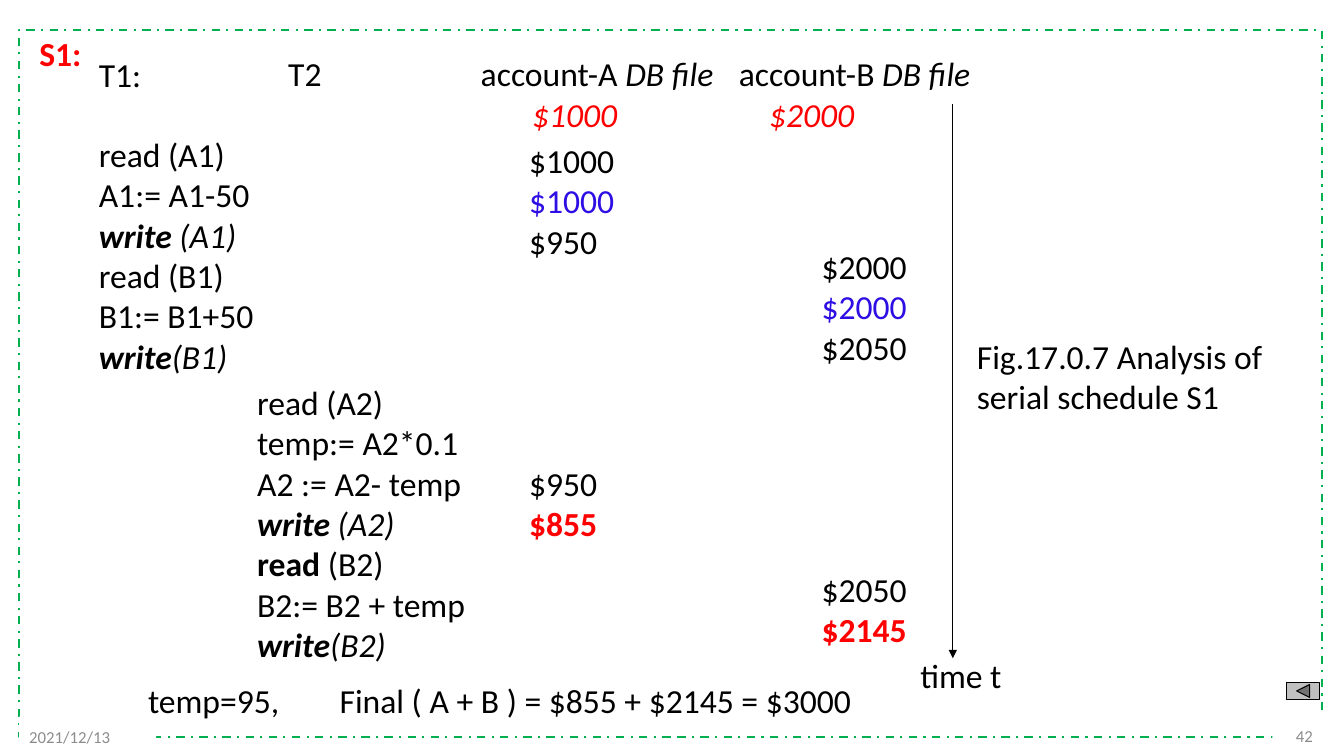
"""Build the slide that analyses serial schedule S1."""
from dataclasses import dataclass

import lxml.etree
import pptx
import pptx.dml.color
import pptx.enum.dml
import pptx.enum.shapes
import pptx.enum.text
import pptx.oxml.ns
import pptx.util

Inches = pptx.util.Inches
Pt = pptx.util.Pt


@dataclass(frozen=True)
class Theme:
    font: str = "Calibri"
    body: float = 24
    footer: float = 12
    line_pitch: float = 28.8
    black: str = "000000"
    red: str = "FF0000"
    blue: str = "2D0EE4"
    grey: str = "8C8C8C"
    white: str = "FFFFFF"
    green: str = "00B050"
    button: str = "C0C0C0"


THEME = Theme()
STYLES = {
    "plain": (THEME.black, False, False),
    "bold": (THEME.black, True, False),
    "italic": (THEME.black, False, True),
    "command": (THEME.black, True, True),
    "initial": (THEME.red, False, True),
    "result": (THEME.red, True, False),
    "copied": (THEME.blue, False, False),
    "footer": (THEME.grey, False, False),
}

TITLE = [[("S1:", "result")]]
FIRST_TRANSACTION = [
    [("T1:", "plain")],
    [("read (A1)", "plain")],
    [("A1:= A1-50", "plain")],
    [("write", "command"), (" (A1)", "italic")],
    [("read (B1)", "plain")],
    [("B1:= B1+50", "plain")],
    [("write", "command"), ("(B1)", "italic")],
]
SECOND_TRANSACTION = [
    [("read (A2)", "plain")],
    [("temp:= A2*0.1", "plain")],
    [("A2 := A2- temp", "plain")],
    [("write ", "command"), ("(A2)", "italic")],
    [("read", "bold"), (" (B2)", "plain")],
    [("B2:= B2 + temp", "plain")],
    [("write", "command"), ("(B2)", "italic")],
]
ACCOUNT_A = [
    [("$1000", "plain")], [("$1000", "copied")], [("$950", "plain")],
    [("$950", "plain")], [("$855", "result")],
]
ACCOUNT_B = [
    [("$2000", "plain")], [("$2000", "copied")], [("$2050", "plain")],
    [("$2050", "plain")], [("$2145", "result")],
]
TEXT_BOXES = [
    ((2.76, 0.48, 0.8, 0.5), [[("T2", "plain")]], {}),
    ((4.67, 0.48, 2.6, 0.5), [[("account-A ", "plain"), ("DB file", "italic")]], {}),
    ((7.23, 0.48, 2.6, 0.5), [[("account-B ", "plain"), ("DB file", "italic")]], {}),
    ((5.18, 0.88, 1.2, 0.5), [[("$1000", "initial")]], {}),
    ((7.53, 0.88, 1.2, 0.5), [[("$2000", "initial")]], {}),
    ((5.15, 1.34, 1.13, 4.14), ACCOUNT_A, {3: 5}),
    ((8.05, 2.39, 1.36, 4.14), ACCOUNT_B, {3: 5}),
    ((1.37, 6.7, 1.6, 0.5), [[("temp=95,", "plain")]], {}),
    ((3.27, 6.7, 5.6, 0.5), [[("Final ( A + B ) = $855 + $2145 = $3000", "plain")]], {}),
    ((9.59, 3.28, 3.53, 0.91), [[("Fig.17.0.7 Analysis of serial schedule S1", "plain")]], {}),
    ((9.03, 6.45, 1.1, 0.5), [[("time t", "plain")]], {}),
]
FOOTERS = [
    ((12.62, 7.1, 0.5, 0.4), "42", pptx.enum.text.PP_ALIGN.RIGHT),
    ((0.19, 7.11, 1.36, 0.4), "2021/12/13", pptx.enum.text.PP_ALIGN.LEFT),
]


def rgb(value):
    """Turn a hexadecimal string into a colour."""
    return pptx.dml.color.RGBColor.from_string(value)


def write(box, lines, gaps, size=THEME.body, align=pptx.enum.text.PP_ALIGN.LEFT):
    """Fill a box with styled lines; gaps maps a line to the rows left free above it."""
    frame = box.text_frame
    frame.word_wrap = True
    frame.auto_size = pptx.enum.text.MSO_AUTO_SIZE.NONE
    frame.vertical_anchor = pptx.enum.text.MSO_ANCHOR.TOP
    for index, line in enumerate(lines):
        para = frame.add_paragraph() if index else frame.paragraphs[0]
        properties = para._p.get_or_add_pPr()
        properties.set("marL", "0")
        properties.set("indent", "0")
        lxml.etree.SubElement(properties, pptx.oxml.ns.qn("a:buNone"))
        para.alignment = align
        para.space_before = Pt(gaps.get(index, 0) * THEME.line_pitch)
        for text, style in line:
            span = para.add_run()
            span.text = text
            color, span.font.bold, span.font.italic = STYLES[style]
            span.font.name = THEME.font
            span.font.size = Pt(size)
            span.font.color.rgb = rgb(color)


def add_block(page, kind, place, fill=None, line=None, width=0.75):
    """Add a preset shape with the given fill and outline."""
    block = page.shapes.add_shape(kind, *map(Inches, place))
    block.shadow.inherit = False
    if fill:
        block.fill.solid()
        block.fill.fore_color.rgb = rgb(fill)
    else:
        block.fill.background()
    if line:
        block.line.color.rgb = rgb(line)
        block.line.width = Pt(width)
    else:
        block.line.fill.background()
    return block


def add_time_arrow(page):
    """Add the downward time axis."""
    ends = map(Inches, (9.45, 1.03, 9.45, 6.53))
    arrow = page.shapes.add_connector(pptx.enum.shapes.MSO_CONNECTOR.STRAIGHT, *ends)
    arrow.line.color.rgb = rgb(THEME.black)
    arrow.line.width = Pt(0.75)
    tail = lxml.etree.SubElement(arrow.line._get_or_add_ln(), pptx.oxml.ns.qn("a:tailEnd"))
    tail.set("type", "triangle")
    lxml.etree.SubElement(arrow._element.spPr, pptx.oxml.ns.qn("a:effectLst"))


def main():
    """Compose and save the slide."""
    deck = pptx.Presentation()
    deck.slide_width, deck.slide_height = Inches(13.33), Inches(7.5)
    page = deck.slides.add_slide(deck.slide_layouts[3])
    shapes = pptx.enum.shapes.MSO_SHAPE

    border = add_block(page, shapes.RECTANGLE, (0.19, 0.3, 12.92, 7.01),
                       line=THEME.green, width=1.5)
    border.line.dash_style = pptx.enum.dml.MSO_LINE.DASH_DOT
    for place, text, align in FOOTERS:
        box = add_block(page, shapes.RECTANGLE, place, fill=THEME.white)
        write(box, [[(text, "footer")]], {}, THEME.footer, align)
        box.text_frame.vertical_anchor = pptx.enum.text.MSO_ANCHOR.MIDDLE

    title, first, second = page.placeholders
    for box, place, lines, gaps in (
        (title, (0.29, 0.28, 0.7, 0.5), TITLE, {}),
        (first, (0.88, 0.48, 1.9, 3.33), FIRST_TRANSACTION, {1: 1}),
        (second, (2.45, 3.74, 2.4, 2.93), SECOND_TRANSACTION, {}),
    ):
        box.left, box.top, box.width, box.height = map(Inches, place)
        write(box, lines, gaps)
    for place, lines, gaps in TEXT_BOXES:
        write(page.shapes.add_textbox(*map(Inches, place)), lines, gaps)

    add_time_arrow(page)
    add_block(page, shapes.ACTION_BUTTON_BACK_OR_PREVIOUS, (12.76, 6.77, 0.33, 0.17),
              fill=THEME.button, line=THEME.black)
    deck.save("out.pptx")


if __name__ == "__main__":
    main()
